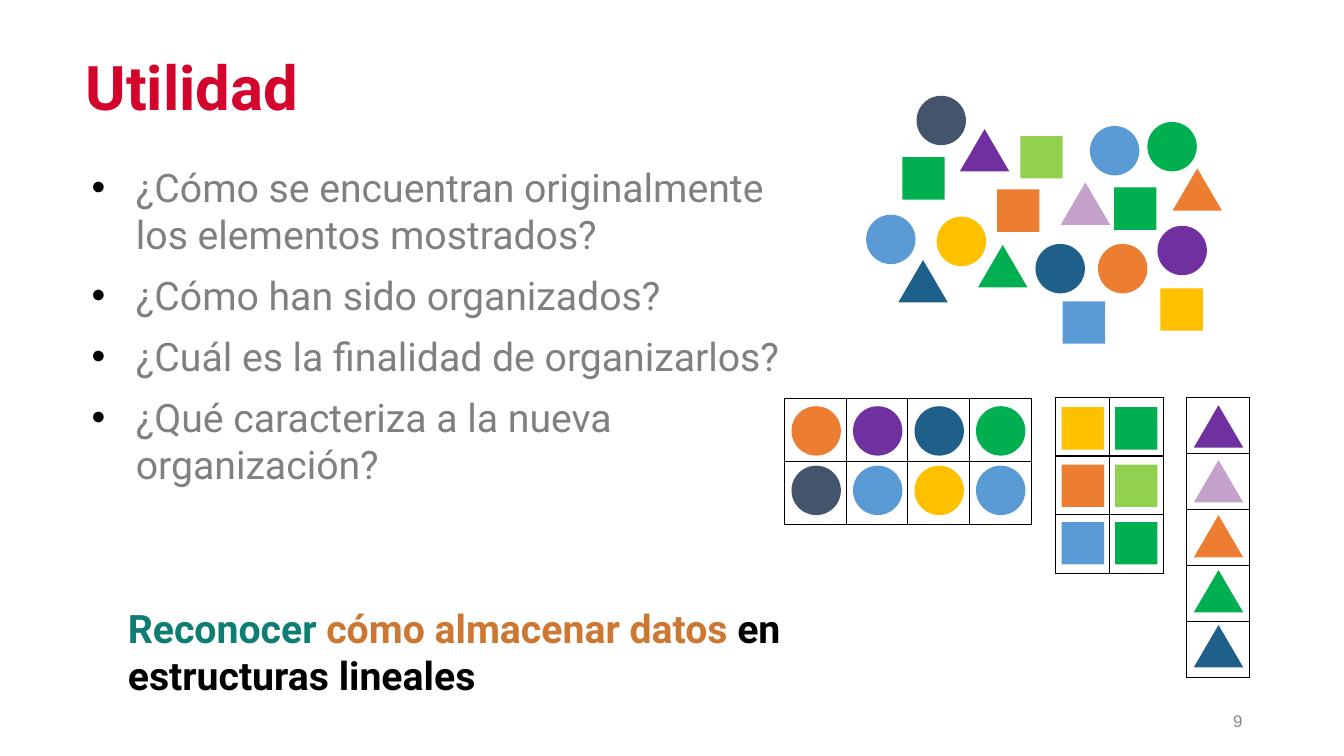
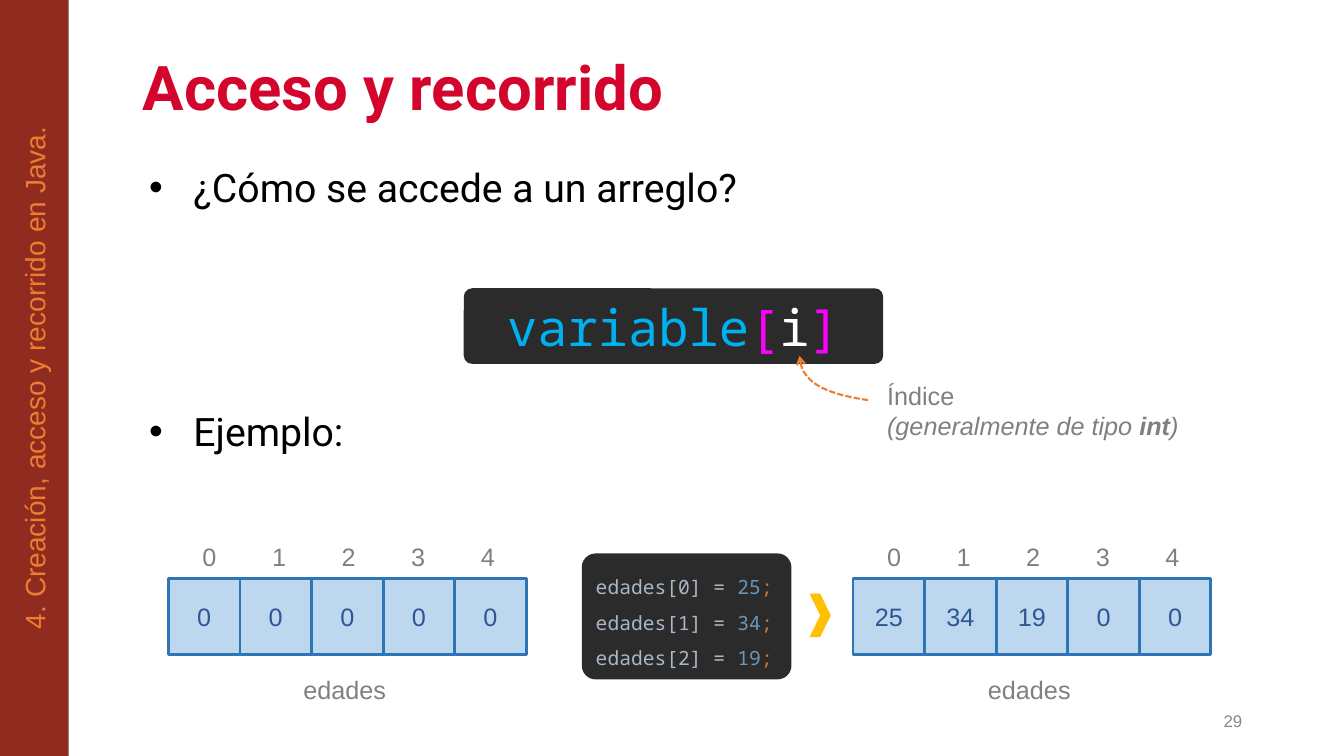
"""Build two slides on linear data structures and array access in Java."""
from lxml import etree
from pptx import Presentation
from pptx.dml.color import RGBColor
from pptx.enum.dml import MSO_LINE
from pptx.enum.shapes import MSO_SHAPE
from pptx.enum.text import MSO_ANCHOR, PP_ALIGN
from pptx.oxml.ns import qn
from pptx.util import Inches, Pt

SQUARE, CIRCLE = MSO_SHAPE.RECTANGLE, MSO_SHAPE.OVAL
TRIANGLE, CHEVRON = MSO_SHAPE.ISOSCELES_TRIANGLE, MSO_SHAPE.CHEVRON
ROUNDED, DASH = MSO_SHAPE.ROUNDED_RECTANGLE, MSO_LINE.SQUARE_DOT
TOP, MIDDLE = MSO_ANCHOR.TOP, MSO_ANCHOR.MIDDLE
CENTER, RIGHT = PP_ALIGN.CENTER, PP_ALIGN.RIGHT

BLACK = RGBColor(0x00, 0x00, 0x00)
WHITE = RGBColor(0xFF, 0xFF, 0xFF)
GRAY = RGBColor(0x80, 0x80, 0x80)
PAGE_GRAY = RGBColor(0x88, 0x88, 0x88)
RED = RGBColor(0xD3, 0x05, 0x2C)
BRICK = RGBColor(0x90, 0x2B, 0x1F)
TEAL = RGBColor(0x0E, 0x7D, 0x73)
GREEN = RGBColor(0x00, 0xB0, 0x50)
LIME = RGBColor(0x92, 0xD0, 0x50)
ORANGE = RGBColor(0xED, 0x7D, 0x31)
GOLD = RGBColor(0xFF, 0xC0, 0x00)
BLUE = RGBColor(0x5B, 0x9B, 0xD5)
OCEAN = RGBColor(0x1F, 0x60, 0x8A)
LILAC = RGBColor(0xC4, 0xA1, 0xCB)
PURPLE = RGBColor(0x70, 0x30, 0xA0)
SLATE = RGBColor(0x44, 0x54, 0x6A)
CELL_FILL = RGBColor(0xBD, 0xD7, 0xEE)
CELL_LINE = RGBColor(0x2E, 0x75, 0xB6)
CELL_TEXT = RGBColor(0x2F, 0x55, 0x97)
CODE_FILL = RGBColor(0x2B, 0x2B, 0x2B)
CODE_TEXT = RGBColor(0xA9, 0xB7, 0xC6)
CODE_NUMBER = RGBColor(0x68, 0x97, 0xBB)
CODE_MARK = RGBColor(0xCC, 0x78, 0x32)
CYAN = RGBColor(0x00, 0xB0, 0xF0)
MAGENTA = RGBColor(0xFF, 0x00, 0xFF)

TITLE = {"name": "Roboto", "size": Pt(44), "bold": True}
BODY = {"name": "Roboto", "size": Pt(28)}
LABEL = {"name": "Arial", "size": Pt(18)}
BAND = {"name": "Arial", "size": Pt(20)}
PAGE = {"name": "Arial", "size": Pt(12)}
CODE = {"name": "Noto Sans Mono", "size": Pt(14)}
BIG_CODE = {"name": "Noto Sans Mono", "size": Pt(36)}


def place(slide, kind, box, fill):
    """Add a flat filled shape, its box given in inches."""
    shape = slide.shapes.add_shape(kind, *map(Inches, box))
    shape.shadow.inherit = False
    shape.fill.solid()
    shape.fill.fore_color.rgb = fill
    shape.line.fill.background()
    return shape


def write(holder, paragraphs, style, anchor=TOP, wrap=True, bullet=False, gap=0, **layout):
    """Fill a shape with paragraphs, each a list of (text, colour, extra font values)."""
    frame = holder.text_frame
    frame.word_wrap, frame.vertical_anchor = wrap, anchor
    for index, runs in enumerate(paragraphs):
        paragraph = frame.add_paragraph() if index else frame.paragraphs[0]
        properties = paragraph._p.get_or_add_pPr()
        if bullet:
            properties.set("marL", str(Inches(0.5)))
            properties.set("indent", str(Inches(-0.44)))
            color = etree.SubElement(properties, qn("a:buClr"))
            etree.SubElement(color, qn("a:srgbClr"), val=str(BLACK))
            etree.SubElement(properties, qn("a:buFont"), typeface="Arial")
            etree.SubElement(properties, qn("a:buChar"), char="•")
        if index and gap:
            paragraph.space_before = Pt(gap)
        for name, value in ({"alignment": PP_ALIGN.LEFT} | layout).items():
            setattr(paragraph, name, value)
        for text, color, *extra in runs:
            run = paragraph.add_run()
            run.text = text
            run.font.color.rgb = color
            for name, value in (style | (extra[0] if extra else {})).items():
                setattr(run.font, name, value)


deck = Presentation()
deck.slide_width, deck.slide_height = Inches(13.33), Inches(7.5)
slides = []
for title, left, page, questions, color, width, gap in [
    ("Utilidad", 0.75, "9",
     ["¿Cómo se encuentran originalmente los elementos mostrados?",
      "¿Cómo han sido organizados?",
      "¿Cuál es la finalidad de organizarlos?",
      "¿Qué caracteriza a la nueva organización?"], GRAY, 7.1, 10),
    ("Acceso y recorrido", 1.32, "29",
     ["¿Cómo se accede a un arreglo?", "Ejemplo:"], BLACK, 11.1, 141),
]:
    slide = deck.slides.add_slide(deck.slide_layouts[6])
    slides.append(slide)
    heading = slide.shapes.add_textbox(Inches(left), Inches(0.47), Inches(12.42 - left), Inches(0.86))
    write(heading, [[(title, RED)]], TITLE, MIDDLE, line_spacing=0.9)
    number = slide.shapes.add_textbox(Inches(9.42), Inches(6.95), Inches(3), Inches(0.4))
    write(number, [[(page, PAGE_GRAY)]], PAGE, MIDDLE, alignment=RIGHT)
    body = slide.shapes.add_textbox(Inches(left), Inches(1.57), Inches(width), Inches(5.23))
    write(body, [[(question, color)] for question in questions], BODY, bullet=True, gap=gap)
usefulness, access = slides

goal = usefulness.shapes.add_textbox(Inches(0.92), Inches(5.95), Inches(7.73), Inches(1.04))
write(goal, [[("Reconocer ", TEAL), ("cómo almacenar datos ", CODE_MARK),
              ("en estructuras lineales", BLACK)]], BODY | {"bold": True})
goal.text_frame.paragraphs[0]._p.pPr.set("marL", str(Inches(0.25)))

SIZES = {SQUARE: (0.42, 0.42), TRIANGLE: (0.49, 0.42), CIRCLE: (0.49, 0.49)}
scattered = {
    SQUARE: [(8.95, 1.56, GREEN), (10.12, 1.35, LIME), (11.05, 1.86, GREEN),
             (9.89, 1.88, ORANGE), (11.51, 2.86, GOLD), (10.54, 2.99, BLUE)],
    TRIANGLE: [(8.91, 2.58, OCEAN), (9.7, 2.43, GREEN), (10.52, 1.81, LILAC),
               (9.52, 1.28, PURPLE), (11.63, 1.67, ORANGE)],
    CIRCLE: [(9.09, 0.95, SLATE), (9.29, 2.15, GOLD), (8.59, 2.13, BLUE), (10.27, 2.42, OCEAN),
             (10.81, 1.25, BLUE), (11.48, 2.24, PURPLE), (10.89, 2.42, ORANGE), (11.38, 1.21, GREEN)],
}
for kind, pieces in scattered.items():
    for left, top, color in pieces:
        place(usefulness, kind, (left, top, *SIZES[kind]), color)

organized = [
    (CIRCLE, (7.78, 3.95, 2.45, 1.25), (7.85, 4.03), (0.61, 0.59),
     [[ORANGE, PURPLE, OCEAN, GREEN], [SLATE, BLUE, GOLD, BLUE]]),
    (SQUARE, (10.47, 3.94, 1.07, 1.75), (10.53, 4.04), (0.53, 0.57),
     [[GOLD, GREEN], [ORANGE, LIME], [BLUE, GREEN]]),
    (TRIANGLE, (11.77, 3.94, 0.62, 2.78), (11.84, 4.02), (0, 2.18 / 4),
     [[PURPLE], [LILAC], [ORANGE], [GREEN], [OCEAN]]),
]
for kind, box, first, pitch, rows in organized:
    grid = usefulness.shapes.add_table(len(rows), len(rows[0]), *map(Inches, box)).table
    grid.first_row = grid.horz_banding = False
    for cell in grid.iter_cells():
        borders = cell._tc.get_or_add_tcPr()
        for side in ("lnL", "lnR", "lnT", "lnB"):
            border = etree.SubElement(borders, qn(f"a:{side}"), w=str(Pt(1)))
            solid = etree.SubElement(border, qn("a:solidFill"))
            etree.SubElement(solid, qn("a:srgbClr"), val=str(BLACK))
        cell.fill.background()
    for row, colors in enumerate(rows):
        for column, color in enumerate(colors):
            corner = (first[0] + column * pitch[0], first[1] + row * pitch[1])
            place(usefulness, kind, (*corner, *SIZES[kind]), color)

band = place(access, SQUARE, (0, 0, 0.68, 7.5), BRICK)
write(band, [[("4. Creación, acceso y recorrido en Java.", ORANGE)]], BAND, MIDDLE, alignment=CENTER)
band.text_frame._txBody.bodyPr.set("vert", "vert270")

for left, values in [(1.67, [0, 0, 0, 0, 0]), (8.46, [25, 34, 19, 0, 0])]:
    for index, value in enumerate(values):
        element = place(access, SQUARE, (left + 0.71 * index, 5.74, 0.71, 0.75), CELL_FILL)
        element.line.color.rgb, element.line.width = CELL_LINE, Pt(2)
        write(element, [[(str(value), CELL_TEXT)]], LABEL, MIDDLE, alignment=CENTER)
        position = access.shapes.add_textbox(
            Inches(left + 0.24 + 0.69 * index), Inches(5.32), Inches(0.32), Inches(0.4))
        write(position, [[(str(index), GRAY)]], LABEL, alignment=CENTER)
    array_name = access.shapes.add_textbox(Inches(left + 1.24), Inches(6.64), Inches(1.15), Inches(0.4))
    write(array_name, [[("edades", GRAY)]], LABEL)

assignments = place(access, ROUNDED, (5.77, 5.49, 2.08, 1.25), CODE_FILL)
write(assignments,
      [[(f"edades[{index}] = ", CODE_TEXT), (value, CODE_NUMBER), (";", CODE_MARK)]
       for index, value in enumerate(["25", "34", "19"])],
      CODE, MIDDLE, wrap=False, line_spacing=1.5)
syntax = place(access, ROUNDED, (4.6, 2.86, 4.16, 0.75), CODE_FILL)
write(syntax, [[("variable", CYAN), ("[", MAGENTA), ("i", WHITE), ("]", MAGENTA)]],
      BIG_CODE, MIDDLE, alignment=CENTER)
for code_box in (assignments, syntax):
    code_box.adjustments[0] = 0.11
place(access, CHEVRON, (8.03, 5.89, 0.21, 0.43), GOLD)

STEPS = 12
controls = [(8.61, 3.97), (8.13, 3.9), (7.94, 3.77), (7.93, 3.53)]
curve = []
for step in range(STEPS + 1):
    t = step / STEPS
    weights = ((1 - t) ** 3, 3 * t * (1 - t) ** 2, 3 * t ** 2 * (1 - t), t ** 3)
    curve.append(tuple(Inches(sum(w * point[axis] for w, point in zip(weights, controls)))
                       for axis in (0, 1)))
outline = access.shapes.build_freeform(*curve[0])
outline.add_line_segments(curve[1:], close=False)
pointer = outline.convert_to_shape()
pointer.shadow.inherit = False
pointer.fill.background()
pointer.line.color.rgb, pointer.line.width = ORANGE, Pt(1.5)
pointer.line.dash_style = DASH
etree.SubElement(pointer.line._get_or_add_ln(), qn("a:tailEnd"), type="arrow")

index_note = access.shapes.add_textbox(Inches(8.7), Inches(3.72), Inches(3.45), Inches(0.71))
write(index_note, [[("Índice", GRAY)],
                   [("(generalmente de tipo ", GRAY, {"italic": True}),
                    ("int", GRAY, {"italic": True, "bold": True}),
                    (")", GRAY, {"italic": True})]], LABEL)

deck.save("out.pptx")
